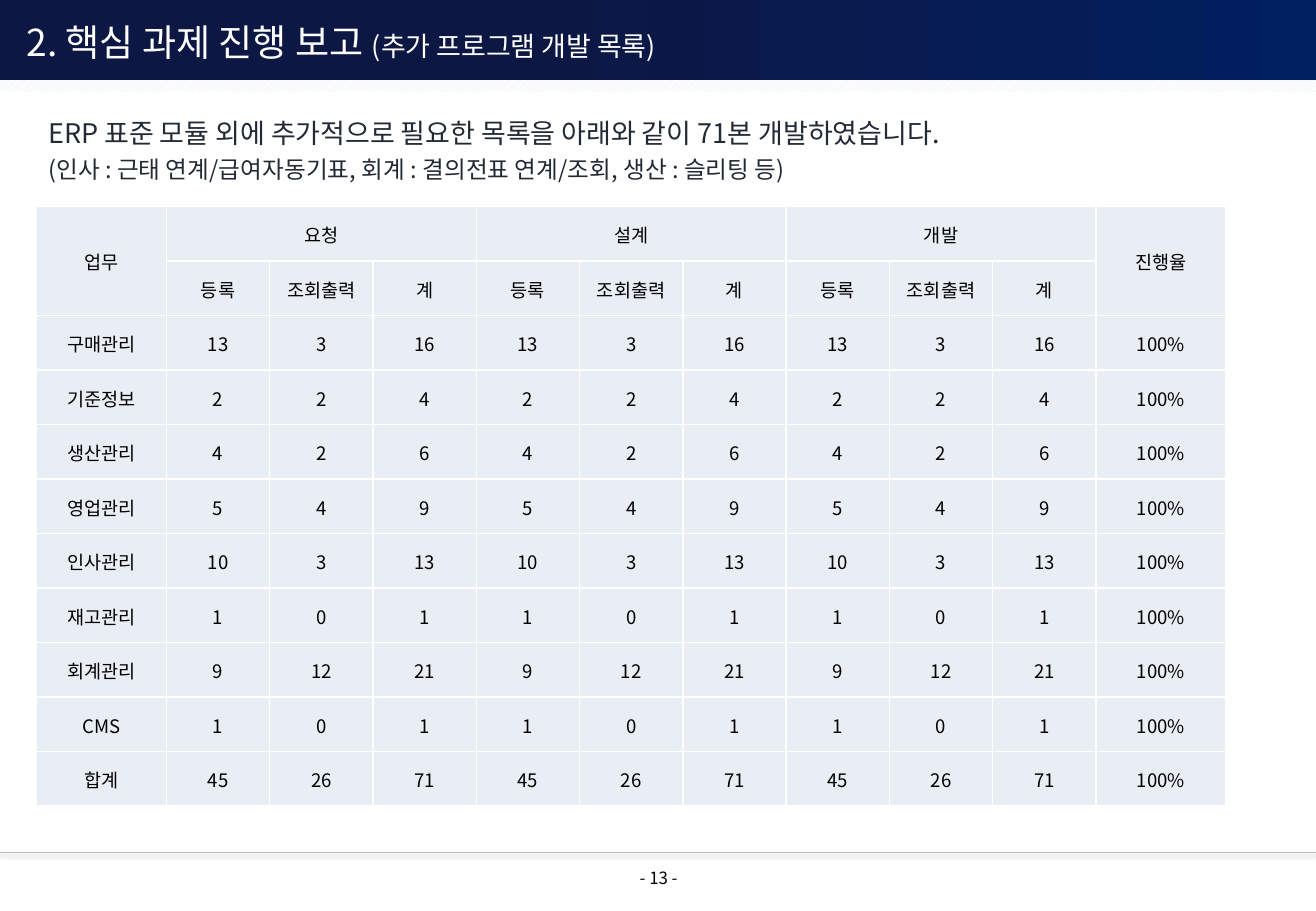
from lxml import etree
from pptx import Presentation
from pptx.dml.color import RGBColor
from pptx.enum import dml, shapes, text
from pptx.oxml import parse_xml
from pptx.oxml.ns import nsdecls, qn
from pptx.util import Inches, Pt

# Content
TITLE = [("2. 핵심 과제 진행 보고 ", 22), ("(추가 프로그램 개발 목록)", 16)]
INTRO = [
    ("ERP 표준 모듈 외에 추가적으로 필요한 목록을 아래와 같이 71본 개발하였습니다.", 16),
    ("(인사 : 근태 연계/급여자동기표, 회계 : 결의전표 연계/조회, 생산 : 슬리팅 등)", 14),
]
PAGE = "- 13 -"
STAGES = ["요청", "설계", "개발"]
PARTS = ["등록", "조회출력", "계"]
TASKS = [
    ("구매관리", 13, 3),
    ("기준정보", 2, 2),
    ("생산관리", 4, 2),
    ("영업관리", 5, 4),
    ("인사관리", 10, 3),
    ("재고관리", 1, 0),
    ("회계관리", 9, 12),
    ("CMS", 1, 0),
]
RATE = "100%"

FONT = "Noto Sans CJK KR"
WHITE = RGBColor(0xFF, 0xFF, 0xFF)
BLACK = RGBColor(0, 0, 0)
SLATE = RGBColor(0x22, 0x2A, 0x35)
BLUE = RGBColor(0x00, 0x20, 0x60)
NAVY = RGBColor(0x0D, 0x17, 0x43)
PALE = RGBColor(0xDC, 0xE6, 0xF2)
CELL = RGBColor(0xE9, 0xED, 0xF4)
GREY = RGBColor(0xBF, 0xBF, 0xBF)
WIDTH, HEIGHT = 10.83, 7.5


def style(font, color, size=None):
    font.name = FONT
    font.color.rgb = color
    if size:
        font.size = Pt(size)


def pad(frame, left, top, right, bottom):
    frame.margin_left, frame.margin_top = Inches(left), Inches(top)
    frame.margin_right, frame.margin_bottom = Inches(right), Inches(bottom)


def add_runs(para, runs, color, split=False):
    style(para.font, color)
    for i, (words, size) in enumerate(runs):
        if split and i:
            para.add_line_break()
        run = para.add_run()
        run.text = words
        style(run.font, color, size)


def add_box(slide, *place):
    frame = slide.shapes.add_textbox(*map(Inches, place)).text_frame
    frame.word_wrap = True
    return frame


def add_band(slide, top, height):
    band = slide.shapes.add_shape(
        shapes.MSO_SHAPE.RECTANGLE, 0, Inches(top), Inches(WIDTH), Inches(height))
    band.shadow.inherit = False
    band.line.fill.background()
    return band.fill


def add_frame(slide):
    # Page number
    foot = add_box(slide, 4.73, 7.14, 1.38, 0.2)
    pad(foot, 0, 0, 0, 0)
    para = foot.paragraphs[0]
    para.text = PAGE
    para.alignment = text.PP_ALIGN.CENTER
    style(para.font, BLACK, 10)

    # Footer rule with soft shadow
    rule = slide.shapes.add_connector(
        shapes.MSO_CONNECTOR.STRAIGHT, 0, Inches(7.02), Inches(WIDTH), Inches(7.02))
    rule.line.color.rgb = GREY
    rule.line.width = Pt(0.25)
    rule.element.spPr.append(parse_xml(
        f'<a:effectLst {nsdecls("a")}><a:outerShdw blurRad="{Pt(3)}" dist="{Pt(1)}" '
        'dir="5400000" algn="t" rotWithShape="0"><a:prstClr val="black">'
        '<a:alpha val="20000"/></a:prstClr></a:outerShdw></a:effectLst>'))

    # Header bands
    fill = add_band(slide, 0, 0.67)
    fill.gradient()
    fill.gradient_angle = 180
    for stop, color, place in zip(fill.gradient_stops, (BLUE, NAVY), (0, 0.59)):
        stop.color.rgb = color
        stop.position = place
    fill = add_band(slide, 0.66, 0.1)
    fill.patterned()
    fill.pattern = dml.MSO_PATTERN.DARK_UPWARD_DIAGONAL
    fill.fore_color.rgb, fill.back_color.rgb = PALE, WHITE


def add_heads(slide):
    # Title, raised above the header band
    title = slide.shapes.title
    slide.shapes.element.append(title.element)
    title.left, title.top = Inches(0.22), Inches(0.14)
    title.width, title.height = Inches(6.69), Inches(0.4)
    frame = title.text_frame
    frame.auto_size = text.MSO_AUTO_SIZE.NONE
    frame.vertical_anchor = text.MSO_ANCHOR.MIDDLE
    pad(frame, 0, 0.05, 0, 0.05)
    frame.paragraphs[0].alignment = text.PP_ALIGN.LEFT
    add_runs(frame.paragraphs[0], TITLE, WHITE)

    # Introduction
    frame = add_box(slide, 0.3, 0.86, 10.24, 0.67)
    frame.paragraphs[0].line_spacing = 1.2
    add_runs(frame.paragraphs[0], INTRO, SLATE, split=True)


def add_grid(slide):
    # Rows with computed sums
    total = ("합계", sum(t[1] for t in TASKS), sum(t[2] for t in TASKS))
    top = [cell for stage in STAGES for cell in (stage, "", "")]
    rows = [["업무", *top, "진행율"], ["", *PARTS * len(STAGES), ""]]
    for name, entry, view in [*TASKS, total]:
        rows.append([name, *[entry, view, entry + view] * len(STAGES), RATE])

    last = len(rows[0]) - 1
    frame = slide.shapes.add_table(
        len(rows), last + 1, Inches(0.3), Inches(1.7), Inches(9.76), Inches(4.94))
    table = frame.table
    table.first_row = table.horz_banding = False
    for i, col in enumerate(table.columns):
        col.width = Inches(1.07 if i in (0, last) else 0.85)
    for row in table.rows:
        row.height = Inches(4.94 / len(rows))

    # Merged heads
    for c in (0, last):
        table.cell(0, c).merge(table.cell(1, c))
    for c in range(1, last, len(PARTS)):
        table.cell(0, c).merge(table.cell(0, c + len(PARTS) - 1))

    # Cells
    for r, row in enumerate(rows):
        for c, value in enumerate(row):
            cell = table.cell(r, c)
            pad(cell, 0.01, 0.01, 0.01, 0)
            cell.vertical_anchor = text.MSO_ANCHOR.MIDDLE
            cell.fill.solid()
            cell.fill.fore_color.rgb = CELL
            para = cell.text_frame.paragraphs[0]
            para.text = str(value)
            para.alignment = text.PP_ALIGN.CENTER
            style(para.font, BLACK, 11)

    # White borders
    for props in frame.element.iter(qn("a:tcPr")):
        for i, side in enumerate("LRTB"):
            props.insert(i, parse_xml(
                f'<a:ln{side} {nsdecls("a")} w="{Pt(1)}"><a:solidFill>'
                f'<a:srgbClr val="{WHITE}"/></a:solidFill></a:ln{side}>'))


def main():
    deck = Presentation()
    deck.slide_width, deck.slide_height = Inches(WIDTH), Inches(HEIGHT)
    slide = deck.slides.add_slide(deck.slide_layouts[5])
    add_frame(slide)
    add_heads(slide)
    add_grid(slide)

    # Same font for Korean letters
    for latin in list(slide.element.iter(qn("a:latin"))):
        asian = etree.Element(qn("a:ea"), typeface=FONT)
        latin.addnext(asian)
    deck.save("out.pptx")


if __name__ == "__main__":
    main()
